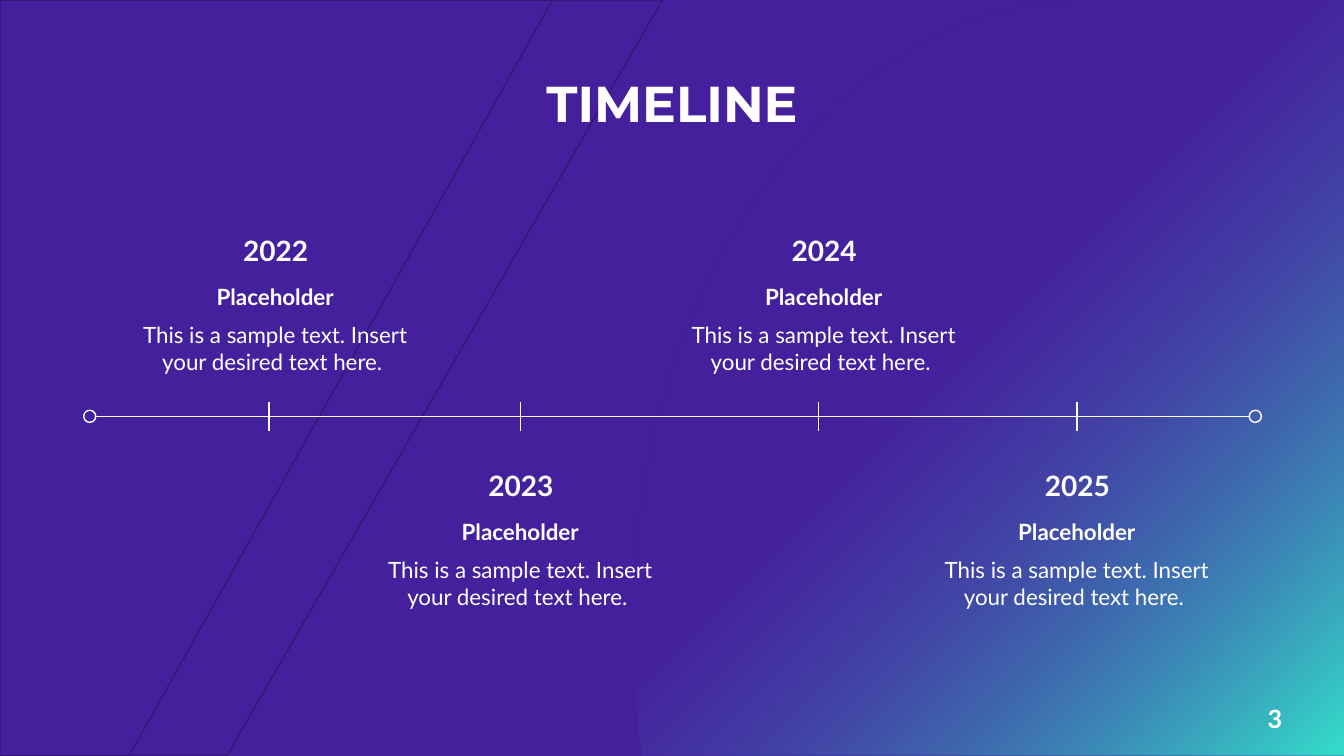
import math
from dataclasses import dataclass

import pptx
import pptx.dml.color
import pptx.enum.dml
import pptx.enum.shapes
import pptx.enum.text
import pptx.oxml.ns
import pptx.util
from lxml import etree
from pptx.util import Inches


@dataclass(frozen=True)
class Theme:
    base: str = "45209D"
    glow: str = "34DFCB"
    edge: str = "331874"
    ink: str = "FFFFFF"
    head: str = "Montserrat"
    body: str = "Lato"
    title: int = 36
    year: int = 20
    page: int = 18
    text: int = 16
    line: int = 1


THEME = Theme()
WIDE, HIGH = 13.33, 7.5
AXIS = 4.13
# Row: top of the year, width of the body text
ABOVE = (2.27, 2.64)
BELOW = (4.6, 2.82)
# Year, tick x, text centre x, row
STEPS = [
    ("2022", 2.67, 2.73, ABOVE),
    ("2023", 5.16, 5.16, BELOW),
    ("2024", 8.12, 8.17, ABOVE),
    ("2025", 10.68, 10.68, BELOW),
]
LABEL = "Placeholder"
BODY = "This is a sample text. Insert your desired text here. "


def rgb(code):
    return pptx.dml.color.RGBColor.from_string(code)


def set_alpha(node, share):
    """Give the first colour below node an opacity in percent."""
    qn = pptx.oxml.ns.qn
    color = next(node.iter(qn("a:srgbClr")))
    etree.SubElement(color, qn("a:alpha")).set("val", str(share * 1000))


def add_free(slide, points):
    spots = [(Inches(x), Inches(y)) for x, y in points]
    build = slide.shapes.build_freeform(*spots[0])
    build.add_line_segments(spots[1:], close=True)
    shape = build.convert_to_shape()
    shape.shadow.inherit = False
    return shape


def add_base(slide):
    shape = slide.shapes.add_shape(
        pptx.enum.shapes.MSO_SHAPE.RECTANGLE, 0, 0, Inches(WIDE), Inches(HIGH))
    shape.shadow.inherit = False
    shape.fill.solid()
    shape.fill.fore_color.rgb = rgb(THEME.base)
    shape.line.fill.background()


def add_glow(slide):
    """Fill the right side, bounded by an elliptic arc, with the gradient."""
    mid_x, mid_y, wide = 10.82, 6.24, 4.55
    last = math.acos((mid_y - HIGH) / mid_y)
    count = 60
    turns = [last * i / count for i in range(count + 1)]
    arc = [(mid_x - wide * math.sin(t), mid_y - mid_y * math.cos(t))
           for t in turns]
    shape = add_free(slide, arc + [(WIDE, HIGH), (WIDE, 0)])
    shape.line.fill.background()
    shape.fill.gradient()
    shape.fill.gradient_angle = 315
    stops = shape.fill.gradient_stops
    for stop, place, color in zip(stops, (0.44, 1), (THEME.base, THEME.glow)):
        stop.position = place
        stop.color.rgb = rgb(color)
    set_alpha(shape._element.spPr, 40)


def add_slant(slide, top, foot):
    shape = add_free(slide, [(0, 0), (top, 0), (foot, HIGH), (0, HIGH)])
    shape.fill.solid()
    shape.fill.fore_color.rgb = rgb(THEME.base)
    set_alpha(shape._element.spPr, 20)
    shape.line.color.rgb = rgb(THEME.edge)
    shape.line.width = pptx.util.Pt(THEME.line)


def add_text(slide, text, box, size, bold=True, font=THEME.body,
             inset=True, wrap=True):
    shape = slide.shapes.add_textbox(*map(Inches, box))
    frame = shape.text_frame
    frame.word_wrap = wrap
    if not inset:
        frame.margin_left = frame.margin_right = 0
        frame.margin_top = frame.margin_bottom = 0
    para = frame.paragraphs[0]
    para.text = text
    para.alignment = pptx.enum.text.PP_ALIGN.CENTER
    para.font.name = font
    para.font.size = pptx.util.Pt(size)
    para.font.bold = bold
    para.font.color.rgb = rgb(THEME.ink)
    return frame


def add_title(slide):
    frame = add_text(slide, "TIMELINE", (1.06, 0.76, 11.21, 0.58),
                     THEME.title, font=THEME.head)
    frame.vertical_anchor = pptx.enum.text.MSO_ANCHOR.MIDDLE
    frame.paragraphs[0].line_spacing = 0.9


def add_line(shapes, start, end):
    line = shapes.add_connector(
        pptx.enum.shapes.MSO_CONNECTOR.STRAIGHT, *map(Inches, start + end))
    line.line.color.rgb = rgb(THEME.ink)
    line.line.width = pptx.util.Pt(THEME.line)
    etree.SubElement(line._element.spPr, pptx.oxml.ns.qn("a:effectLst"))


def add_axis(slide):
    shapes = slide.shapes.add_group_shape().shapes
    left, right, size = 0.83, 12.39, 0.12
    add_line(shapes, (left + size, AXIS), (right, AXIS))
    for x in (left, right):
        ring = shapes.add_shape(
            pptx.enum.shapes.MSO_SHAPE.OVAL, Inches(x),
            Inches(AXIS - size / 2), Inches(size), Inches(size))
        ring.shadow.inherit = False
        ring.fill.background()
        ring.line.color.rgb = rgb(THEME.ink)
        ring.line.width = pptx.util.Pt(THEME.line)


def add_step(slide, year, tick, mid, row):
    top, wide = row
    add_line(slide.shapes, (tick, 3.99), (tick, 4.28))
    add_text(slide, year, (mid - 0.42, top, 0.85, 0.44), THEME.year,
             wrap=False)
    add_text(slide, LABEL, (mid - 0.72, top + 0.54, 1.44, 0.27), THEME.text,
             inset=False)
    add_text(slide, BODY, (mid - wide / 2, top + 0.92, wide, 0.54),
             THEME.text, bold=False, inset=False)


def main():
    deck = pptx.Presentation()
    deck.slide_width, deck.slide_height = Inches(WIDE), Inches(HIGH)
    slide = deck.slides.add_slide(deck.slide_layouts[6])
    add_base(slide)
    add_glow(slide)
    add_text(slide, "3", (12.26, 6.93, 0.77, 0.4), THEME.page)
    add_slant(slide, 6.57, 2.25)
    add_slant(slide, 5.48, 1.28)
    add_title(slide)
    add_axis(slide)
    for step in STEPS:
        add_step(slide, *step)
    deck.save("out.pptx")


if __name__ == "__main__":
    main()
